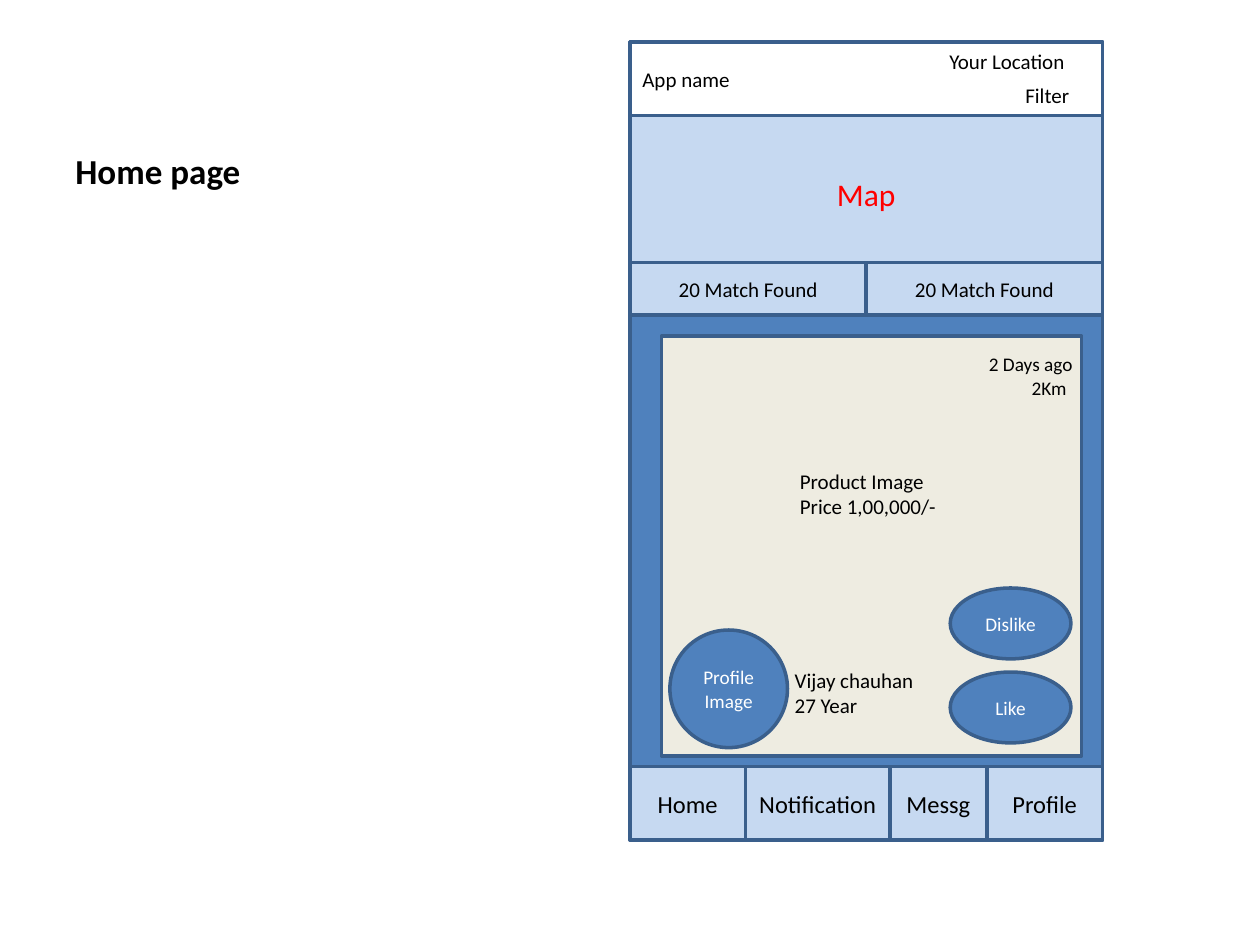
from pptx import Presentation
from pptx.dml.color import RGBColor
from pptx.enum.shapes import MSO_SHAPE
from pptx.enum.text import MSO_ANCHOR, PP_ALIGN
from pptx.util import Inches, Pt

WIDE, HIGH = 10, 7.5
COLS, ROWS = 120, 90  # grid of twelfths of an inch
HEX = {"blue": "4F81BD", "edge": "3A5F8C", "pale": "C6D9F1", "cream": "EEECE1",
       "white": "FFFFFF", "black": "000000", "red": "FF0000"}
LEFT, SPAN = 60, 45  # phone frame, in columns
MID, START, END = PP_ALIGN.CENTER, PP_ALIGN.LEFT, PP_ALIGN.RIGHT


def color(name):
    return RGBColor.from_string(HEX[name])


def place(col, row, wide, high):
    return (Inches(col * WIDE / COLS), Inches(row * HIGH / ROWS),
            Inches(wide * WIDE / COLS), Inches(high * HIGH / ROWS))


def write(shape, lines, size, ink, align, anchor, bold=False):
    frame = shape.text_frame
    frame.word_wrap = True
    frame.vertical_anchor = anchor
    for i, line in enumerate(lines):
        para = frame.paragraphs[0] if i == 0 else frame.add_paragraph()
        para.alignment = align
        run = para.add_run()
        run.text = line
        font = run.font
        font.name, font.size, font.bold = "Calibri", Pt(size), bold
        font.color.rgb = color(ink)


def panel(slide, box, fill, text="", size=12, ink="black", align=MID,
          kind=MSO_SHAPE.RECTANGLE):
    shape = slide.shapes.add_shape(kind, *place(*box))
    shape.shadow.inherit = False
    shape.fill.solid()
    shape.fill.fore_color.rgb = color(fill)
    shape.line.color.rgb = color("edge")
    shape.line.width = Pt(2)
    if text:
        write(shape, [text], size, ink, align, MSO_ANCHOR.MIDDLE)


def oval(slide, box, text):
    panel(slide, box, "blue", text, 11, "white", kind=MSO_SHAPE.OVAL)


def label(slide, box, lines, size=12, align=START, anchor=MSO_ANCHOR.TOP, bold=False):
    shape = slide.shapes.add_textbox(*place(*box))
    write(shape, lines, size, "black", align, anchor, bold)
    return shape


def strip(slide, row, high, size, cells):
    col = LEFT
    for text, wide in cells:
        panel(slide, (col, row, wide, high), "pale", text, size)
        col += wide


def main():
    deck = Presentation()
    deck.slide_width, deck.slide_height = Inches(WIDE), Inches(HIGH)
    slide = deck.slides.add_slide(deck.slide_layouts[6])

    # Heading
    label(slide, (6, 3.6, 39.5, 15.2), ["Home page"], 20,
          anchor=MSO_ANCHOR.BOTTOM, bold=True)

    # Phone body and top bar
    panel(slide, (LEFT, 4, SPAN, 76), "blue")
    panel(slide, (LEFT, 4, SPAN, 7), "white", "App name", align=START)
    for row, text in ((4, "Your Location "), (7.3, "Filter")):
        label(slide, (87, row, 16, 3.6), [text], align=END)

    # Map, match counts and bottom tabs
    panel(slide, (LEFT, 11, SPAN, 15), "pale", "Map", 18, "red")
    strip(slide, 25, 5, 12, [("20 Match Found", SPAN / 2)] * 2)
    strip(slide, 73, 7, 14, [("Home", 11), ("Notification", 13.75),
                             ("Messg", 9.25), ("Profile", 11)])

    # Product card
    panel(slide, (63, 32, 40, 40), "cream")
    age = label(slide, (93, 33, 11, 5.6), ["2 Days ago", "2Km"], 11)
    far = age.text_frame.paragraphs[1]
    far._p.get_or_add_pPr().set("marL", str(Inches(0.34)))
    label(slide, (75, 44, 16.5, 6), ["Product Image", "Price 1,00,000/-"])

    # Profile and votes
    oval(slide, (63.8, 60, 11.2, 11.2), "Profile Image")
    label(slide, (74.5, 63, 16.5, 6), ["Vijay chauhan", "27 Year"])
    for row, text in ((56, "Dislike"), (64, "Like")):
        oval(slide, (90.5, row, 11.5, 6.75), text)

    deck.save("out.pptx")


if __name__ == "__main__":
    main()
